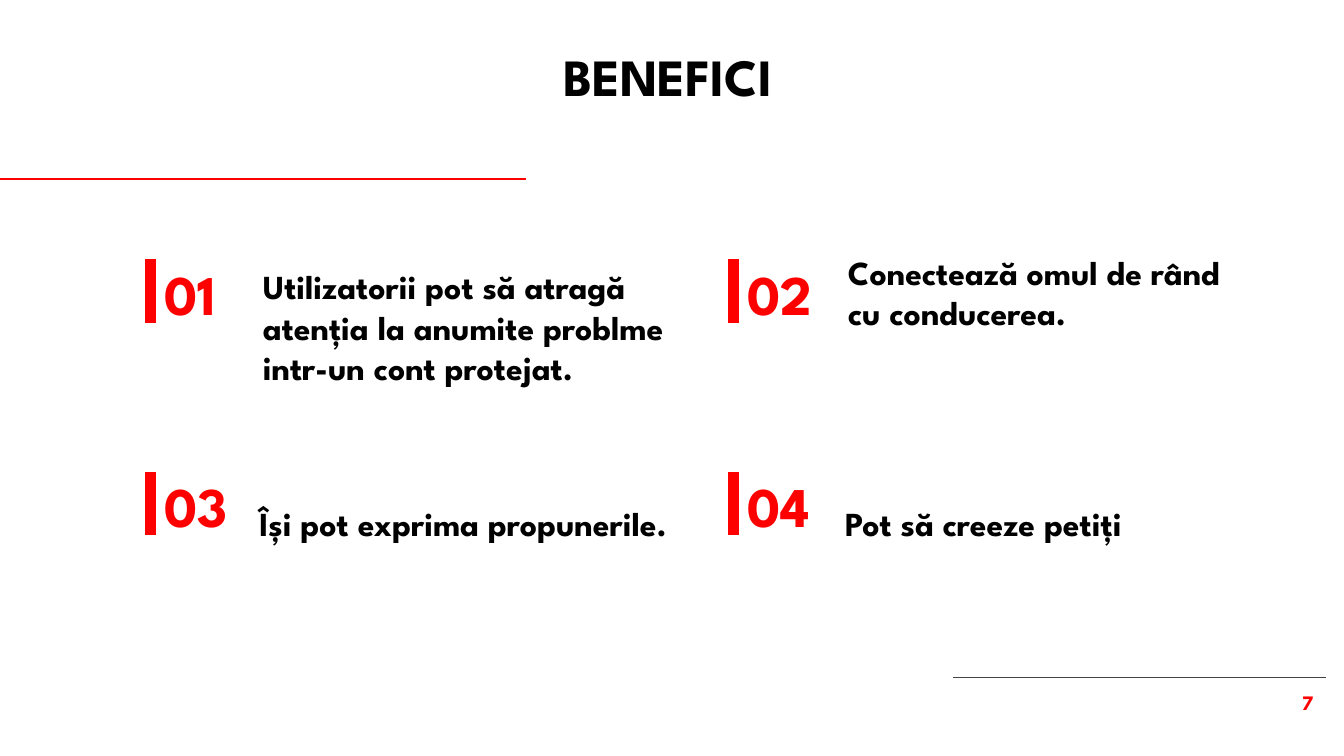
from pptx import Presentation
from pptx.dml.color import RGBColor
from pptx.enum import shapes, text
from pptx.oxml.ns import qn
from pptx.util import Pt

RED, BLACK, GREY = "FD0000", "000000", "434343"


def rgb(code):
    return RGBColor.from_string(code)


class Page:
    font = "League Spartan"
    inset = 7.2

    def __init__(self, deck):
        self.slide = deck.slides.add_slide(deck.slide_layouts[6])

    def line(self, x1, y1, x2, y2, color=RED, width=0.75):
        line = self.slide.shapes.add_connector(
            shapes.MSO_CONNECTOR.STRAIGHT, Pt(x1), Pt(y1), Pt(x2), Pt(y2))
        line.line.color.rgb = rgb(color)
        line.line.width = Pt(width)
        props = line._element.spPr
        props.append(props.makeelement(qn("a:effectLst"), {}))

    def text(self, words, x, y, w, h, size=18, color=BLACK,
             align="LEFT", anchor="TOP", left=inset):
        box = self.slide.shapes.add_textbox(Pt(x), Pt(y), Pt(w), Pt(h))
        frame = box.text_frame
        frame.word_wrap = True
        frame.vertical_anchor = text.MSO_ANCHOR[anchor]
        frame.margin_left = Pt(left)
        frame.margin_top = frame.margin_right = frame.margin_bottom = Pt(self.inset)
        para = frame.paragraphs[0]
        para.alignment = text.PP_ALIGN[align]
        run = para.add_run()
        run.text = words
        run.font.name = self.font
        run.font.size = Pt(size)
        run.font.bold = True
        run.font.color.rgb = rgb(color)

    def item(self, num, x, y, words, box):
        """Draw a red bar, a two-digit number and its benefit."""
        self.line(x, y, x, y + 33.8, width=6)
        self.text(f"{num:02}", x + 7.5, y - 7.2, 45.4, 46.8,
                  size=30, color=RED, left=0)
        self.text(words, *box, anchor="BOTTOM")


def main():
    deck = Presentation()
    deck.slide_width, deck.slide_height = Pt(720), Pt(405)
    page = Page(deck)

    page.line(-1.4, 96, 282, 96)
    page.line(510.5, 363, 710.6, 363, color=GREY, width=0.5)
    page.text("7", 664.6, 363, 46, 31, size=11, color=RED, align="RIGHT")
    page.text("BENEFICI", 113.8, 16.6, 488, 75, size=28, align="CENTER")

    cols, rows = (80.8, 393), (139, 252.8)
    items = [
        ("Utilizatorii pot să atragă atenția la anumite problme "
         "intr-un cont protejat.", (133.8, 100.8, 233.3, 113.8)),
        ("Conectează omul de rând cu conducerea.", (447.2, 143.3, 233.3, 41.8)),
        ("Își pot exprima propunerile.", (131.9, 256.3, 233.3, 41.8)),
        ("Pot să creeze petiți", (445.7, 256.3, 233.3, 41.8)),
    ]
    for i, (words, box) in enumerate(items):
        page.item(i + 1, cols[i % 2], rows[i // 2], words, box)

    deck.save("out.pptx")


if __name__ == "__main__":
    main()
